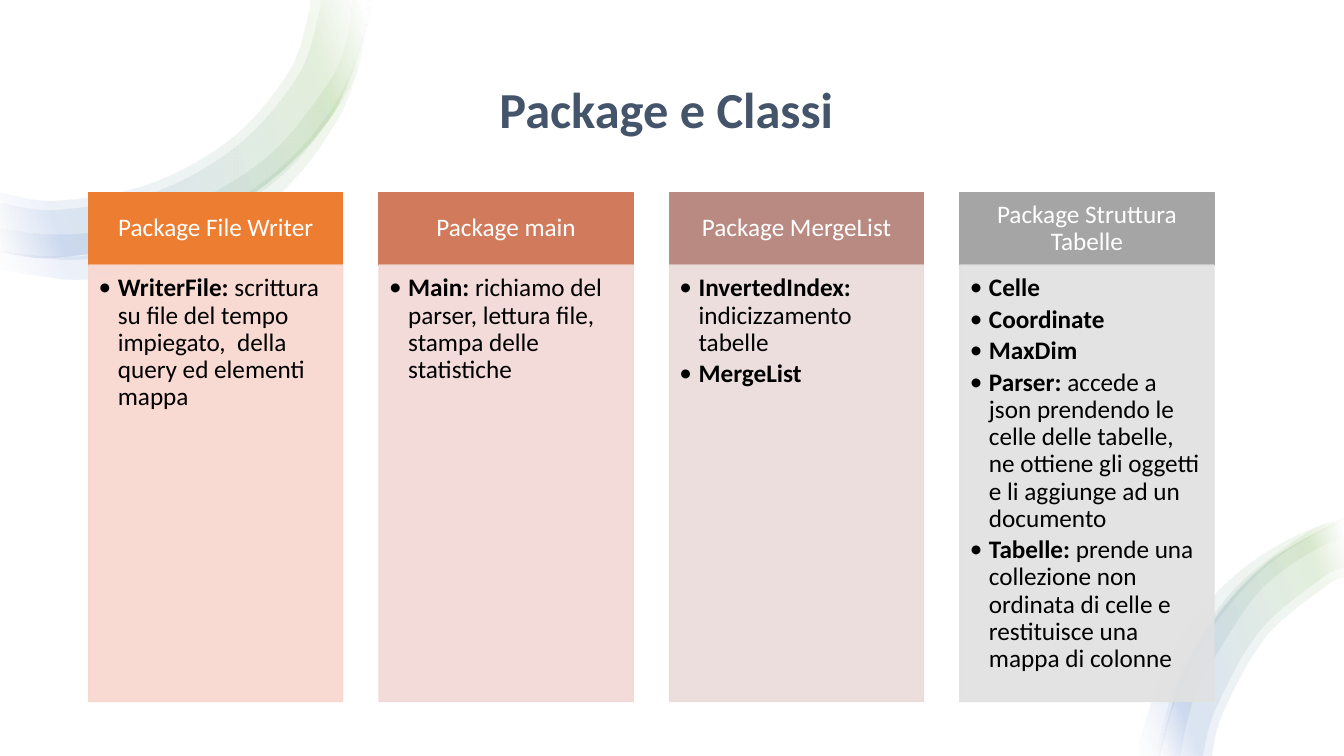
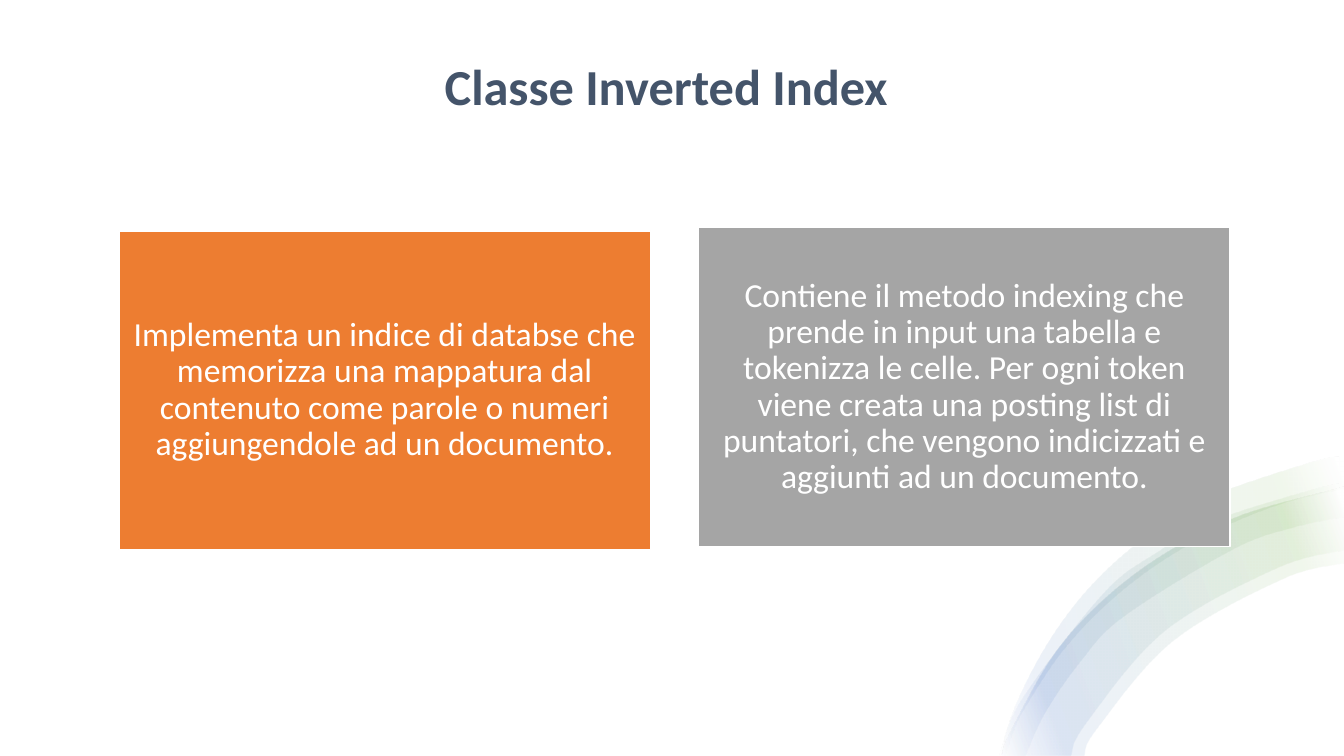
from lxml.etree import SubElement
from pptx import Presentation
from pptx.dml.color import RGBColor
from pptx.enum.shapes import MSO_SHAPE
from pptx.enum.text import MSO_ANCHOR, PP_ALIGN
from pptx.oxml import parse_xml
from pptx.oxml.ns import nsdecls, qn
from pptx.util import Inches, Pt

WIDTH, HEIGHT = 13.33, 7.5
FONT = "Calibri"
COLORS = {
    "white": "FFFFFF", "black": "000000", "title": "44546A",
    "green": "70AD47", "blue": "4472C4",
    "orange": "ED7D31", "rust": "D17B5C", "rose": "B98A82", "gray": "A5A5A5",
    "orange_tint": "F8D7CE", "rust_tint": "F1D8D4",
    "rose_tint": "E9DBDA", "gray_tint": "E1E1E1",
}
BAND_STOPS = [(2, "white"), (16, "green"), (85, "blue"), (100, "white")]
BAND_OPACITY, BAND_ANGLE = 10, 160

# Each arc is a list of bands; a band is its outer edge and its inner edge.
TOP_OUTER = [(3.66, 0), (3.65, .21), (3.3, 1.13), (2.58, 1.87), (1.63, 2.37),
             (.56, 2.55), (.05, 2.5), (0, 2.49)]
TOP_ARC = [
    (TOP_OUTER, [(0, 1.91), (.56, 1.99), (1.49, 1.82), (2.31, 1.36), (2.87, .7),
                 (3.06, .13), (3.07, 0)]),
    (TOP_OUTER, [(0, 2.01), (.56, 2.08), (1.52, 1.91), (2.37, 1.43), (2.96, .74),
                 (3.16, .14), (3.17, 0)]),
    ([(3.66, 0), (3.61, .44), (3.45, .91), (2.83, 1.71), (1.97, 2.27), (.97, 2.55),
      (.44, 2.56), (0, 2.5)],
     [(0, 2.26), (.45, 2.32), (.93, 2.3), (1.41, 2.21), (1.86, 2.05), (2.67, 1.54),
      (3.26, .82), (3.44, .4), (3.5, 0)]),
    ([(3.68, 0), (3.48, .88), (3.24, 1.35), (2.92, 1.77), (2.52, 2.14), (2.06, 2.43),
      (.99, 2.75), (.43, 2.74), (0, 2.66)],
     [(0, 2.49), (.45, 2.54), (.96, 2.52), (1.46, 2.4), (1.94, 2.22), (2.38, 1.96),
      (2.79, 1.65), (3.14, 1.28), (3.41, .86), (3.59, .38), (3.65, 0)]),
]
SMALL_OUTER = [(13.33, 5.17), (13.17, 5.22), (12.58, 5.57), (12.09, 6.08),
               (11.73, 6.7), (11.52, 7.41), (11.51, 7.5)]
SMALL_ARC = [
    ([(13.33, 5.15), (12.98, 5.26), (12.56, 5.48), (12.18, 5.77), (11.85, 6.13),
      (11.58, 6.55), (11.33, 7.26), (11.3, 7.5)],
     [(11.51, 7.5), (11.61, 7.09), (11.78, 6.66), (12.01, 6.25), (12.29, 5.89),
      (12.62, 5.57), (13.01, 5.32), (13.33, 5.19)]),
    (SMALL_OUTER, [(12.02, 7.5), (12.13, 7.07), (12.55, 6.32), (13.15, 5.81),
                   (13.33, 5.73)]),
    ([(13.33, 5.16), (12.96, 5.29), (12.24, 5.85), (11.73, 6.62), (11.51, 7.3),
      (11.48, 7.5)],
     [(11.71, 7.5), (11.78, 7.14), (11.93, 6.73), (12.39, 5.99), (12.69, 5.69),
      (13.04, 5.46), (13.33, 5.33)]),
    (SMALL_OUTER, [(11.93, 7.5), (12.06, 7.03), (12.49, 6.26), (13.11, 5.73),
                   (13.33, 5.63)]),
]
LARGE_OUTER = [(13.33, 4.84), (13.22, 4.86), (12.19, 5.16), (11.26, 5.69),
               (10.52, 6.4), (10.02, 7.26), (9.94, 7.5)]
LARGE_ARC = [
    ([(13.33, 4.53), (12.99, 4.59), (11.95, 4.95), (11.34, 5.34), (10.81, 5.82),
      (10.39, 6.38), (10.07, 7), (9.91, 7.5)],
     [(9.97, 7.5), (10.05, 7.26), (10.16, 7.03), (10.53, 6.47), (10.99, 5.98),
      (11.52, 5.57), (12.11, 5.24), (12.74, 4.99), (13.33, 4.85)]),
    (LARGE_OUTER, [(10.75, 7.5), (10.87, 7.24), (11.62, 6.37), (12.71, 5.75),
                   (13.33, 5.59)]),
    ([(13.33, 4.8), (13.05, 4.85), (12.06, 5.16), (11.46, 5.49), (10.93, 5.9),
      (10.12, 6.96), (9.93, 7.5)],
     [(10.17, 7.5), (10.36, 7.08), (10.71, 6.57), (11.14, 6.12), (12.21, 5.46),
      (12.81, 5.24), (13.33, 5.13)]),
    (LARGE_OUTER, [(10.62, 7.5), (10.76, 7.19), (11.54, 6.27), (12.66, 5.64),
                   (13.33, 5.46)]),
]

# Header, header colour, body colour, then (class, description) pairs.
PACKAGES = [
    ("Package File Writer", "orange", "orange_tint", [
        ("WriterFile: ", "scrittura su file del tempo impiegato,  della query "
                         "ed elementi mappa")]),
    ("Package main", "rust", "rust_tint", [
        ("Main: ", "richiamo del parser, lettura file, stampa delle statistiche")]),
    ("Package MergeList", "rose", "rose_tint", [
        ("InvertedIndex: ", "indicizzamento tabelle"), ("MergeList ", "")]),
    ("Package Struttura Tabelle", "gray", "gray_tint", [
        ("Celle", ""), ("Coordinate", ""), ("MaxDim", ""),
        ("Parser: ", "accede a json prendendo le celle delle tabelle, ne ottiene "
                     "gli oggetti e li aggiunge ad un documento"),
        ("Tabelle: ", "prende una collezione non ordinata di celle e restituisce "
                      "una mappa di colonne")]),
]


def color(name):
    """Return a named colour."""
    return RGBColor.from_string(COLORS[name])


def curve_edge(points, lines):
    """Turn the line elements that join an edge's points into smooth curves."""
    padded = [points[0], *points, points[-1]]
    for a, b, c, d, line in zip(padded, padded[1:], padded[2:], padded[3:], lines):
        end = line.find(qn("a:pt"))
        first = [q + (r - p) / 6 for p, q, r in zip(a, b, c)]
        second = [q - (r - p) / 6 for p, q, r in zip(b, c, d)]
        for control in (first, second):
            x, y = (int(end.get(axis)) + Inches(value - target)
                    for axis, value, target in zip("xy", control, c))
            end.addprevious(parse_xml(f'<a:pt {nsdecls("a")} x="{x}" y="{y}"/>'))
        line.tag = qn("a:cubicBezTo")


def add_arc(slide, bands):
    """Draw translucent gradient bands that build up one ring segment."""
    stops = "".join(
        f'<a:gs pos="{position * 1000}"><a:srgbClr val="{COLORS[name]}">'
        f'<a:alpha val="{BAND_OPACITY * 1000}"/></a:srgbClr></a:gs>'
        for position, name in BAND_STOPS)
    for outer, inner in bands:
        outline = [(Inches(x), Inches(y)) for x, y in outer + inner]
        builder = slide.shapes.build_freeform(*outline[0], scale=1)
        builder.add_line_segments(outline[1:], close=True)
        band = builder.convert_to_shape()
        band.shadow.inherit = False
        band.line.fill.background()
        band.fill.background()
        properties = band._element.spPr
        properties.replace(properties.find(qn("a:noFill")), parse_xml(
            f'<a:gradFill {nsdecls("a")}><a:gsLst>{stops}</a:gsLst>'
            f'<a:lin ang="{BAND_ANGLE * 60000}" scaled="0"/></a:gradFill>'))
        lines = list(properties.iter(qn("a:lnTo")))
        curve_edge(outer, lines[:len(outer) - 1])
        curve_edge(inner, lines[len(outer):len(outer) + len(inner) - 1])


def set_frame(shape, anchor, margins):
    """Set wrapping, anchor and left, top, right, bottom margins of the text."""
    frame = shape.text_frame
    frame.word_wrap = True
    frame.vertical_anchor = anchor
    (frame.margin_left, frame.margin_top,
     frame.margin_right, frame.margin_bottom) = map(Inches, margins)
    return frame


def style_paragraph(paragraph, size, color_name, alignment=PP_ALIGN.CENTER):
    """Apply the common font and line spacing."""
    paragraph.alignment = alignment
    paragraph.line_spacing = 0.9
    paragraph.font.name = FONT
    paragraph.font.size = Pt(size)
    paragraph.font.color.rgb = color(color_name)


def add_title(slide, text, box, anchor):
    """Place the centred bold title in its box."""
    title = slide.shapes.add_textbox(*map(Inches, box))
    paragraph = set_frame(title, anchor, (0.1, 0.05, 0.1, 0.05)).paragraphs[0]
    paragraph.text = text
    style_paragraph(paragraph, 36, "title")
    paragraph.font.bold = True


def add_panel(slide, box, fill, line=None):
    """Add a filled rectangle, with a thin line if a line colour is given."""
    panel = slide.shapes.add_shape(MSO_SHAPE.RECTANGLE, *map(Inches, box))
    panel.shadow.inherit = False
    panel.fill.solid()
    panel.fill.fore_color.rgb = color(fill)
    if line:
        panel.line.color.rgb = color(line)
        panel.line.width = Pt(1)
    else:
        panel.line.fill.background()
    return panel


def add_label(slide, box, text, fill, line, size, margins):
    """Add a panel with centred white text."""
    panel = add_panel(slide, box, fill, line)
    paragraph = set_frame(panel, MSO_ANCHOR.MIDDLE, margins).paragraphs[0]
    paragraph.text = text
    style_paragraph(paragraph, size, "white")


def add_package(slide, box, package):
    """Add one package column: header above a bulleted list of classes."""
    left, top, width, height = box
    header, fill, tint, classes = package
    header_height = 0.72
    add_label(slide, (left, top, width, header_height), header, fill, fill, 18,
              (0.14, 0.08, 0.14, 0.08))
    body = add_panel(slide, (left, top + header_height, width, height - header_height),
                     tint, tint)
    for tint_color in body._element.spPr.iter(qn("a:srgbClr")):
        SubElement(tint_color, qn("a:alpha"), val="90000")
    frame = set_frame(body, MSO_ANCHOR.TOP, (0.1, 0.1, 0.14, 0.16))
    for index, (name, description) in enumerate(classes):
        paragraph = frame.add_paragraph() if index else frame.paragraphs[0]
        style_paragraph(paragraph, 18, "black", PP_ALIGN.LEFT)
        paragraph.space_after = Pt(3)
        properties = paragraph._p.get_or_add_pPr()
        properties.set("marL", str(Inches(0.19)))
        properties.set("indent", str(-Inches(0.19)))
        defaults = properties.find(qn("a:defRPr"))
        for tag, key, value in (("buFont", "typeface", FONT), ("buChar", "char", "•")):
            defaults.addprevious(parse_xml(f'<a:{tag} {nsdecls("a")} {key}="{value}"/>'))
        run = paragraph.add_run()
        run.text = name
        run.font.bold = True
        if description:
            paragraph.add_run().text = description


def new_slide(presentation):
    """Add a blank slide covered by a white ground."""
    slide = presentation.slides.add_slide(presentation.slide_layouts[6])
    add_panel(slide, (0, 0, WIDTH, HEIGHT), "white")
    return slide


def build_packages(presentation):
    """Build the slide of packages and their classes."""
    slide = new_slide(presentation)
    add_title(slide, "Package e Classi ", (1.29, 0.5, 10.75, 0.93), MSO_ANCHOR.BOTTOM)
    add_arc(slide, TOP_ARC)
    add_arc(slide, SMALL_ARC)
    left, pitch = 0.88, 2.88
    for column, package in enumerate(PACKAGES):
        add_package(slide, (left + column * pitch, 1.91, 2.52, 5.05), package)


def build_inverted_index(presentation):
    """Build the slide on the inverted index class."""
    slide = new_slide(presentation)
    add_title(slide, "Classe Inverted Index ", (0.88, 0.22, 11.57, 1.33),
              MSO_ANCHOR.MIDDLE)
    add_arc(slide, LARGE_ARC)
    cards = [
        (1.18, 2.29, "orange",
         "Implementa un indice di databse che memorizza una mappatura dal contenuto "
         "come parole o numeri aggiungendole ad un documento."),
        (6.93, 2.26, "gray",
         "Contiene il metodo indexing che prende in input una tabella e tokenizza le "
         "celle. Per ogni token viene creata una posting list di puntatori, che "
         "vengono indicizzati e aggiunti ad un documento."),
    ]
    for left, top, fill, text in cards:
        add_label(slide, (left, top, 5.27, 3.16), text, fill, "white", 24, (0.1,) * 4)


presentation = Presentation()
presentation.slide_width = Inches(WIDTH)
presentation.slide_height = Inches(HEIGHT)
build_packages(presentation)
build_inverted_index(presentation)
presentation.save("out.pptx")
